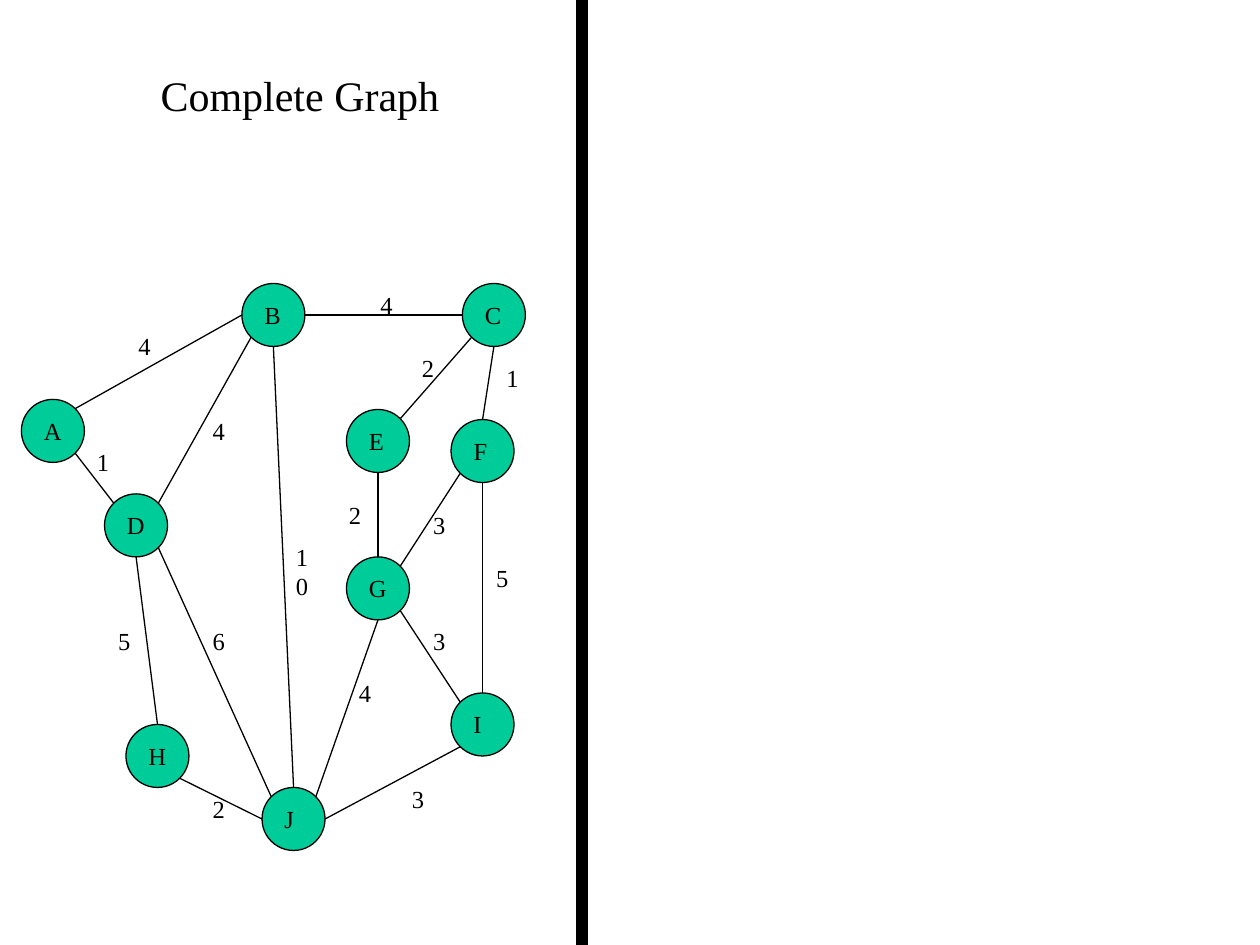
from lxml import etree
from pptx import Presentation
from pptx.dml.color import RGBColor
from pptx.enum.shapes import MSO_CONNECTOR, MSO_SHAPE
from pptx.enum.text import MSO_AUTO_SIZE, PP_ALIGN
from pptx.oxml.ns import qn
from pptx.util import Inches, Pt

ELLIPSE = MSO_SHAPE.OVAL
RECTANGLE = MSO_SHAPE.RECTANGLE
STRAIGHT = MSO_CONNECTOR.STRAIGHT
FIT_SHAPE = MSO_AUTO_SIZE.SHAPE_TO_FIT_TEXT
CENTER = PP_ALIGN.CENTER

FONT = "Times New Roman"
COLORS = {"node": "00CC99", "ink": "000000"}
RADIUS = 0.25
DIAGONAL = 0.177  # RADIUS times the sine of 45 degrees
LETTER_OFFSET = 0.17  # from node centre to the letter box corner
LABEL_HEIGHT = 0.34

# Node: centre x, centre y, width of the letter box
NODES = {
    "A": (0.42, 3.42, 0.34),
    "B": (2.17, 2.5, 0.33),
    "C": (3.92, 2.5, 0.33),
    "D": (1.08, 4.17, 0.34),
    "E": (3, 3.5, 0.32),
    "F": (3.83, 3.58, 0.31),
    "G": (3, 4.67, 0.34),
    "H": (1.25, 6, 0.34),
    "I": (3.83, 5.75, 0.26),
    "J": (2.33, 6.5, 0.27),
}

# Points on a node's rim, as offsets from its centre
SIDES = {
    "n": (0, -RADIUS),
    "s": (0, RADIUS),
    "w": (-RADIUS, 0),
    "e": (RADIUS, 0),
    "nw": (-DIAGONAL, -DIAGONAL),
    "ne": (DIAGONAL, -DIAGONAL),
    "sw": (-DIAGONAL, DIAGONAL),
    "se": (DIAGONAL, DIAGONAL),
}

# Edge: start node, side, end node, side, weight, label left, label top
EDGES = [
    ("B", "e", "C", "w", 4, 2.92, 2.25),
    ("B", "sw", "D", "ne", 4, 1.59, 3.25),
    ("D", "se", "J", "nw", 6, 1.59, 4.92),
    ("J", "ne", "G", "s", 4, 2.75, 5.33),
    ("F", "sw", "G", "ne", 3, 3.34, 4),
    ("E", "s", "G", "n", 2, 2.67, 3.92),
    ("B", "s", "J", "n", 10, 2.25, 4.25),
    ("C", "sw", "E", "ne", 2, 3.25, 2.75),
    ("C", "s", "F", "n", 1, 3.92, 2.83),
    ("J", "e", "I", "sw", 3, 3.17, 6.17),
    ("J", "w", "H", "se", 2, 1.59, 6.25),
    ("D", "nw", "A", "se", 1, 0.67, 3.5),
    ("I", "nw", "G", "se", 3, 3.34, 4.92),
    ("F", "s", "I", "n", 5, 3.84, 4.42),
    ("A", "ne", "B", "w", 4, 1, 2.58),
    ("D", "s", "H", "n", 5, 0.84, 4.92),
]


def color(name):
    return RGBColor.from_string(COLORS[name])


def set_line(line):
    line.color.rgb = color("ink")
    line.width = Pt(0.75)


def add_solid(page, kind, left, top, width, height, fill):
    shape = page.shapes.add_shape(
        kind, Inches(left), Inches(top), Inches(width), Inches(height))
    shape.shadow.inherit = False
    shape.fill.solid()
    shape.fill.fore_color.rgb = color(fill)
    set_line(shape.line)


def add_text(page, text, left, top, width, height=LABEL_HEIGHT, size=14, wrap=False):
    box = page.shapes.add_textbox(
        Inches(left), Inches(top), Inches(width), Inches(height))
    box.text_frame.word_wrap = wrap
    box.text_frame.auto_size = FIT_SHAPE
    paragraph = box.text_frame.paragraphs[0]
    paragraph.text = text
    paragraph.font.name = FONT
    paragraph.font.size = Pt(size)
    paragraph.font.color.rgb = color("ink")
    return paragraph


def rim_point(node, side):
    x, y, _ = NODES[node]
    dx, dy = SIDES[side]
    return Inches(x + dx), Inches(y + dy)


def add_edge(page, start, start_side, end, end_side):
    edge = page.shapes.add_connector(
        STRAIGHT, *rim_point(start, start_side), *rim_point(end, end_side))
    set_line(edge.line)
    etree.SubElement(edge._element.spPr, qn("a:effectLst"))


def main():
    deck = Presentation()
    deck.slide_width, deck.slide_height = Inches(10), Inches(7.5)
    page = deck.slides.add_slide(deck.slide_layouts[6])

    # Graph nodes and edges
    for x, y, _ in NODES.values():
        add_solid(page, ELLIPSE, x - RADIUS, y - RADIUS, 2 * RADIUS, 2 * RADIUS, "node")
    for *ends, _, _, _ in EDGES:
        add_edge(page, *ends)

    # Divider between the two halves
    add_solid(page, RECTANGLE, 4.58, 0, 0.08, 7.5, "ink")

    # Edge weights and node letters
    for *_, weight, left, top in EDGES:
        add_text(page, str(weight), left, top, 0.39 if weight > 9 else 0.3)
    for letter, (x, y, width) in NODES.items():
        add_text(page, letter, x - LETTER_OFFSET, y - LETTER_OFFSET, width)

    # Title
    title = add_text(page, "Complete Graph", 0.92, 0.5, 2.92, 0.5, size=24, wrap=True)
    title.alignment = CENTER
    title.space_before = Pt(15)

    deck.save("out.pptx")


if __name__ == "__main__":
    main()
